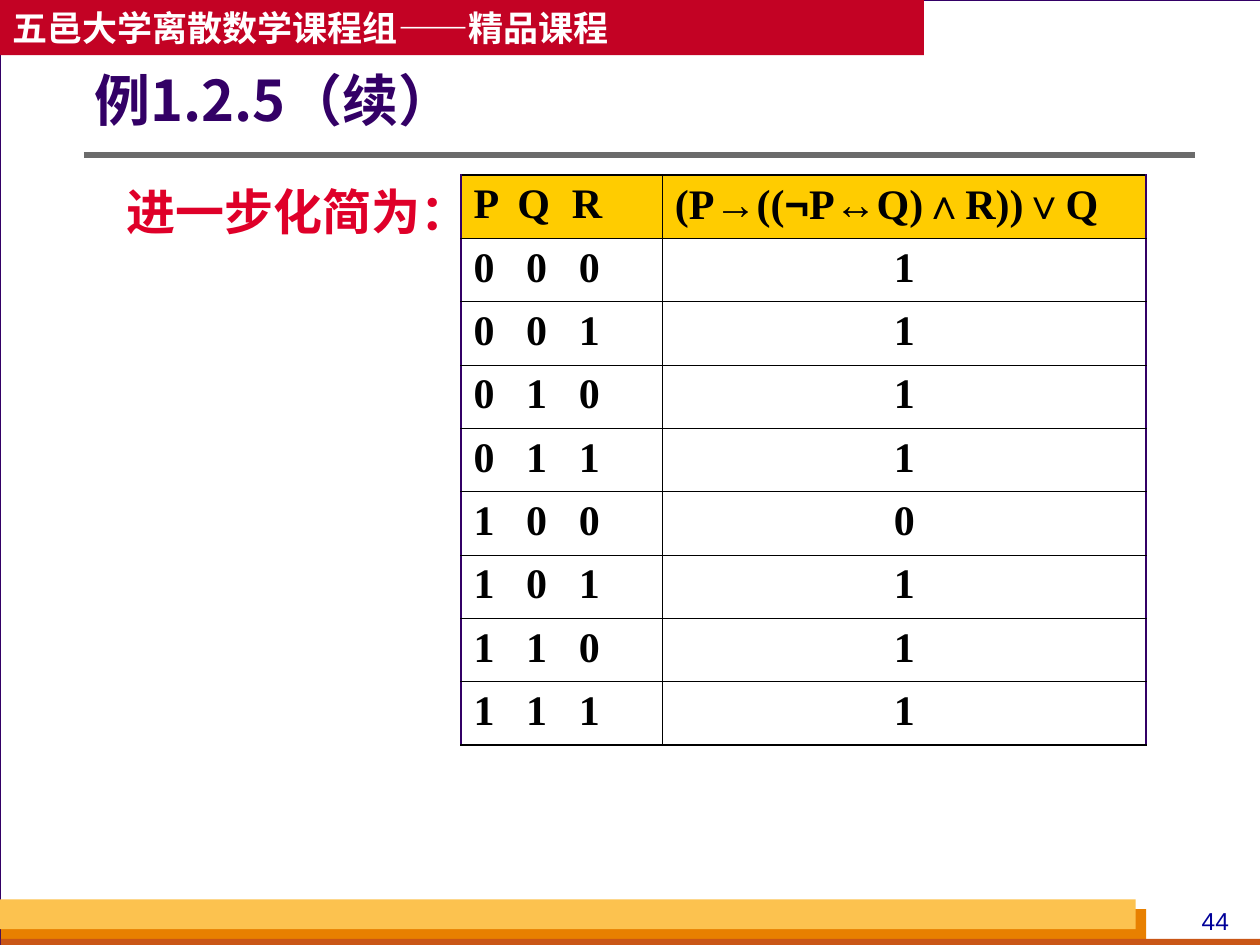
import pptx
import pptx.util
import pptx.dml.color
import pptx.enum.shapes
import pptx.enum.text
import pptx.oxml
import pptx.oxml.ns
from lxml import etree

Pt = pptx.util.Pt
Align = pptx.enum.text.PP_ALIGN
Anchor = pptx.enum.text.MSO_ANCHOR
qn = pptx.oxml.ns.qn

HUES = {
    "back": "D8DADA", "white": "FFFFFF", "ink": "000000", "plum": "330066",
    "banner": "C30224", "amber": "E88000", "rust": "C95616", "gold": "FCC24F",
    "rule": "6B6B6B", "head": "FFCC00", "lead": "DF0029", "page": "000099",
}
HAN = "Noto Sans CJK SC"
ROMAN = "Times New Roman"
SANS = "Arial"


class Deck:
    def __init__(self, wide, high):
        self.show = pptx.Presentation()
        self.show.slide_width = Pt(wide)
        self.show.slide_height = Pt(high)
        self.slide = self.show.slides.add_slide(self.show.slide_layouts[6])
        self.paint(self.slide.background.fill, "back")

    def hue(self, name):
        return pptx.dml.color.RGBColor.from_string(HUES[name])

    def paint(self, fill, name):
        fill.solid()
        fill.fore_color.rgb = self.hue(name)

    def style(self, para, face, size, hue, bold=True):
        font = para.font
        font.name, font.size, font.bold = face, Pt(size), bold
        font.color.rgb = self.hue(hue)
        mark = para._p.pPr.find(qn("a:defRPr"))
        mark.find(qn("a:latin")).addnext(
            mark.makeelement(qn("a:ea"), {"typeface": face}))

    def block(self, box, fill, line=None):
        shape = self.slide.shapes.add_shape(
            pptx.enum.shapes.MSO_SHAPE.RECTANGLE, *map(Pt, box))
        shape.shadow.inherit = False
        self.paint(shape.fill, fill)
        if line:
            shape.line.color.rgb = self.hue(line)
            shape.line.width = Pt(0.75)
        else:
            shape.line.fill.background()
        return shape

    def label(self, box, text, face, size, hue, bold=True, wrap=True):
        shape = self.slide.shapes.add_textbox(*map(Pt, box))
        return self.words(shape, text, face, size, hue, bold, wrap)

    def words(self, shape, text, face, size, hue, bold=True, wrap=True):
        frame = shape.text_frame
        frame.word_wrap = wrap
        para = frame.paragraphs[0]
        para.text = text
        para.alignment = Align.LEFT
        self.style(para, face, size, hue, bold)
        return frame

    def rule(self, left, top, right, hue, width):
        line = self.slide.shapes.add_connector(
            pptx.enum.shapes.MSO_CONNECTOR.STRAIGHT,
            Pt(left), Pt(top), Pt(right), Pt(top))
        line.line.color.rgb = self.hue(hue)
        line.line.width = Pt(width)
        etree.SubElement(line._element.spPr, qn("a:effectLst"))

    def grid(self, left, top, cols, high, count):
        table = self.slide.shapes.add_table(
            count, len(cols), Pt(left), Pt(top),
            Pt(sum(cols)), Pt(high * count)).table
        table.first_row = table.horz_banding = False
        for col, wide in zip(table.columns, cols):
            col.width = Pt(wide)
        for row in table.rows:
            row.height = Pt(high)
        return table

    def cell(self, cell, runs, fill, align, edges, tabs=()):
        para = cell.text_frame.paragraphs[0]
        para.alignment = align
        for text, face in runs:
            run = para.add_run()
            run.text = text
            if face != ROMAN:
                run.font.name = face
        self.style(para, ROMAN, 24, "ink")
        if tabs:
            stops = para._p.pPr.makeelement(qn("a:tabLst"), {})
            for stop in tabs:
                etree.SubElement(stops, qn("a:tab"),
                                 pos=str(int(Pt(stop))), algn="l")
            para._p.pPr.find(qn("a:defRPr")).addprevious(stops)
        self.paint(cell.fill, fill)
        props = cell._tc.get_or_add_tcPr()
        for spot, (side, (hue, width)) in enumerate(edges.items()):
            line = props.makeelement(qn("a:ln" + side), {"w": str(int(Pt(width)))})
            solid = etree.SubElement(line, qn("a:solidFill"))
            etree.SubElement(solid, qn("a:srgbClr"), val=HUES[hue])
            props.insert(spot, line)

    def truth(self, left, top, cols, high, head, rows):
        count = len(rows) + 1
        table = self.grid(left, top, cols, high, count)
        thin, side, edge = ("ink", 0.45), ("plum", 1.08), ("ink", 1.08)
        for r, pair in enumerate([head] + rows):
            for c, runs in enumerate(pair):
                edges = {
                    "L": thin if c else side,
                    "R": side if c else thin,
                    "T": thin if r else edge,
                    "B": edge if r == count - 1 else thin,
                }
                tabs = () if c else (30, 60) if r else (25, 56)
                align = Align.CENTER if r and c else Align.LEFT
                self.cell(table.cell(r, c), runs, "white" if r else "head",
                          align, edges, tabs)


def main():
    deck = Deck(720, 540)
    deck.block((0, 0, 720.5, 540), "white", "plum")
    banner = deck.block((0, 0, 528, 31.5), "banner")
    deck.words(banner, "五邑大学离散数学课程组——精品课程", HAN, 20, "white")
    deck.block((0.5, 519.5, 654.5, 20.5), "amber")
    deck.block((0.5, 536.5, 720, 5.5), "rust")
    deck.block((0, 514, 649, 17), "gold")
    page = deck.label((672, 514, 45, 24.5), "44", SANS, 14, "page", False)
    page.paragraphs[0].alignment = Align.CENTER
    page.paragraphs[0].space_before = Pt(8.8)
    deck.rule(48, 88.5, 683, "rule", 3)

    title = deck.label((54, 38, 465, 42), "例1.2.5（续）", HAN, 32, "plum")
    title.margin_left = 0
    title.vertical_anchor = Anchor.MIDDLE
    title.paragraphs[0].line_spacing = 0.9

    head = ([("P\tQ\tR", ROMAN)],
            [("(P→((", ROMAN), ("¬", SANS), ("P", ROMAN),
             ("↔", SANS), ("Q)∧R))∨Q", ROMAN)])
    rows = [([("\t".join(f"{n:03b}"), ROMAN)], [(bit, ROMAN)])
            for n, bit in enumerate("11110111")]
    deck.truth(263.5, 100, (115, 276.5), 36.2, head, rows)
    deck.label((65.5, 100, 210, 41), "进一步化简为：", HAN, 28, "lead", wrap=False)
    deck.show.save("out.pptx")


if __name__ == "__main__":
    main()
